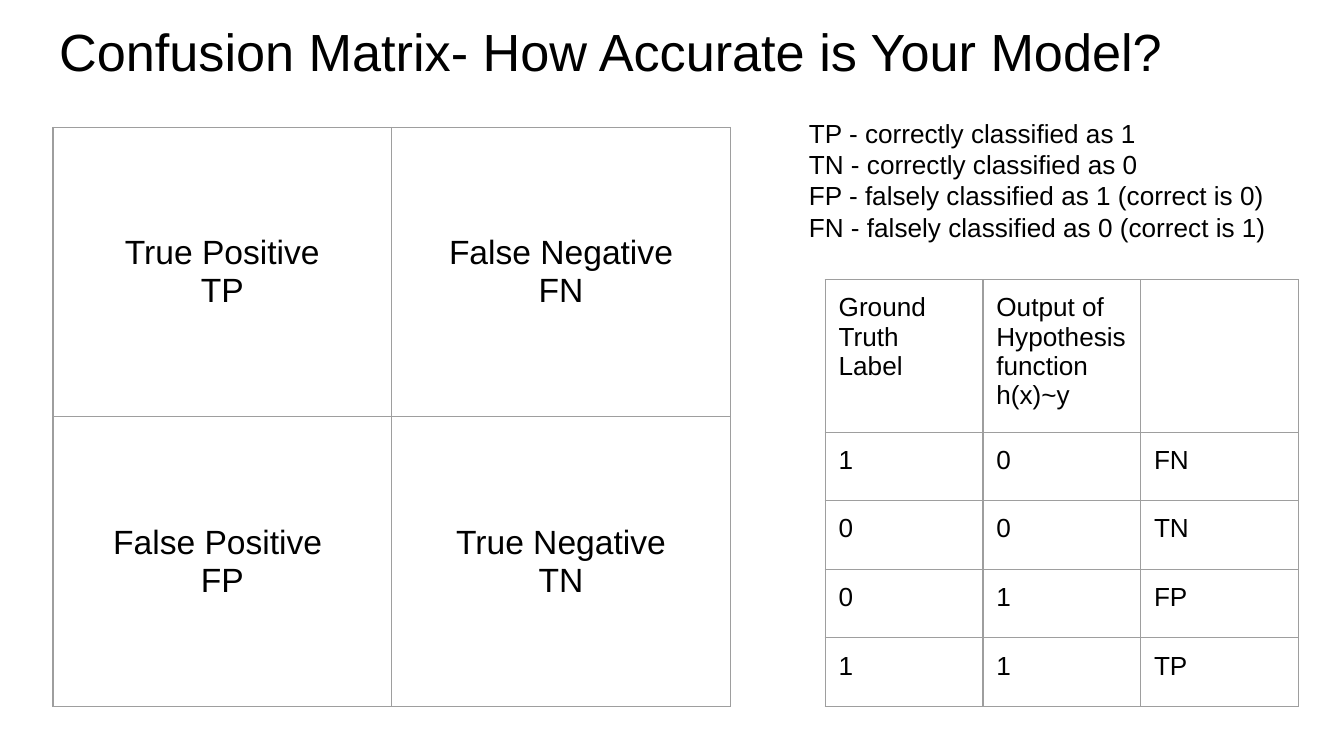
from lxml.etree import SubElement
from pptx import Presentation
from pptx.dml.color import RGBColor
from pptx.enum.text import MSO_ANCHOR, PP_ALIGN
from pptx.oxml.ns import qn
from pptx.util import Inches, Pt

FONT = "Arial"
BLACK, WHITE, GREY = "000000", "FFFFFF", "9E9E9E"
INSET = Inches(0.1)
SLIDE_WIDTH = Inches(10)
SLIDE_HEIGHT = SLIDE_WIDTH * 9 // 16

TITLE = "Confusion Matrix- How Accurate is Your Model?"
LEGEND = """TP - correctly classified as 1
TN - correctly classified as 0
FP - falsely classified as 1 (correct is 0)
FN - falsely classified as 0 (correct is 1)"""
MATRIX = [
    ["True Positive\nTP", "False Negative\nFN"],
    ["False Positive \nFP", "True Negative\nTN"],
]
OUTCOMES = [
    ["Ground Truth\nLabel", "Output of Hypothesis function\nh(x)~y", ""],
    ["1", "0", "FN"],
    ["0", "0", "TN"],
    ["0", "1", "FP"],
    ["1", "1", "TP"],
]


def color(hex_value):
    return RGBColor.from_string(hex_value)


def box(left, top, width, height):
    """Turn percentages of the slide's size into lengths."""
    sides = (SLIDE_WIDTH, SLIDE_HEIGHT) * 2
    return [int(side * share / 100) for share, side in zip((left, top, width, height), sides)]


def write(frame, text, size=14, align=PP_ALIGN.LEFT):
    """Fill a text frame with one paragraph for each line of text."""
    for index, line in enumerate(text.split("\n")):
        paragraph = frame.paragraphs[0] if index == 0 else frame.add_paragraph()
        paragraph.alignment = align
        paragraph.line_spacing = 1.0
        paragraph.font.size = Pt(size)
        if line:
            run = paragraph.add_run()
            run.text = line
            run.font.name = FONT
            run.font.size = Pt(size)
            run.font.color.rgb = color(BLACK)


def set_insets(target):
    target.margin_left = target.margin_right = INSET
    target.margin_top = target.margin_bottom = INSET


def add_borders(cell, width=0.75):
    properties = cell._tc.get_or_add_tcPr()
    for position, side in enumerate(("lnL", "lnR", "lnT", "lnB")):
        line = SubElement(properties, qn(f"a:{side}"), w=str(Pt(width)))
        fill = SubElement(line, qn("a:solidFill"))
        SubElement(fill, qn("a:srgbClr"), val=GREY)
        properties.insert(position, line)


def add_title(slide, area, text):
    title = slide.shapes.title
    title.left, title.top, title.width, title.height = area
    frame = title.text_frame
    frame.word_wrap = True
    frame.vertical_anchor = MSO_ANCHOR.TOP
    set_insets(frame)
    write(frame, text, size=28)


def add_legend(slide, area, text):
    frame = slide.shapes.add_textbox(*area).text_frame
    frame.word_wrap = True
    set_insets(frame)
    write(frame, text)


def add_grid(slide, area, rows, row_shares, anchor=MSO_ANCHOR.TOP, **text_format):
    """Draw a bordered table with equal columns; row_shares divide the height."""
    width, height = area[2:]
    graphic_frame = slide.shapes.add_table(len(rows), len(rows[0]), *area)
    table = graphic_frame.table
    table.first_row = table.horz_banding = False
    for column in table.columns:
        column.width = width // len(rows[0])
    for row, share, texts in zip(table.rows, row_shares, rows):
        row.height = int(height * share)
        for cell, text in zip(row.cells, texts):
            set_insets(cell)
            cell.vertical_anchor = anchor
            cell.fill.solid()
            cell.fill.fore_color.rgb = color(WHITE)
            add_borders(cell)
            write(cell.text_frame, text, **text_format)
    graphic_frame.height = height


def main():
    presentation = Presentation()
    presentation.slide_width = SLIDE_WIDTH
    presentation.slide_height = SLIDE_HEIGHT
    slide = presentation.slides.add_slide(presentation.slide_layouts[5])
    slide.background.fill.solid()
    slide.background.fill.fore_color.rgb = color(WHITE)
    add_title(slide, box(3.4, 0.7, 93.2, 11.2), TITLE)
    add_grid(slide, box(3.95, 16.85, 50.4, 76.6), MATRIX, [1 / 2] * 2,
             anchor=MSO_ANCHOR.MIDDLE, size=18, align=PP_ALIGN.CENTER)
    add_legend(slide, box(59.2, 13.7, 39.7, 21.5), LEGEND)
    add_grid(slide, box(61.4, 37, 35.2, 56.7), OUTCOMES, [0.26] + [0.16] * 4)
    presentation.save("out.pptx")


if __name__ == "__main__":
    main()
